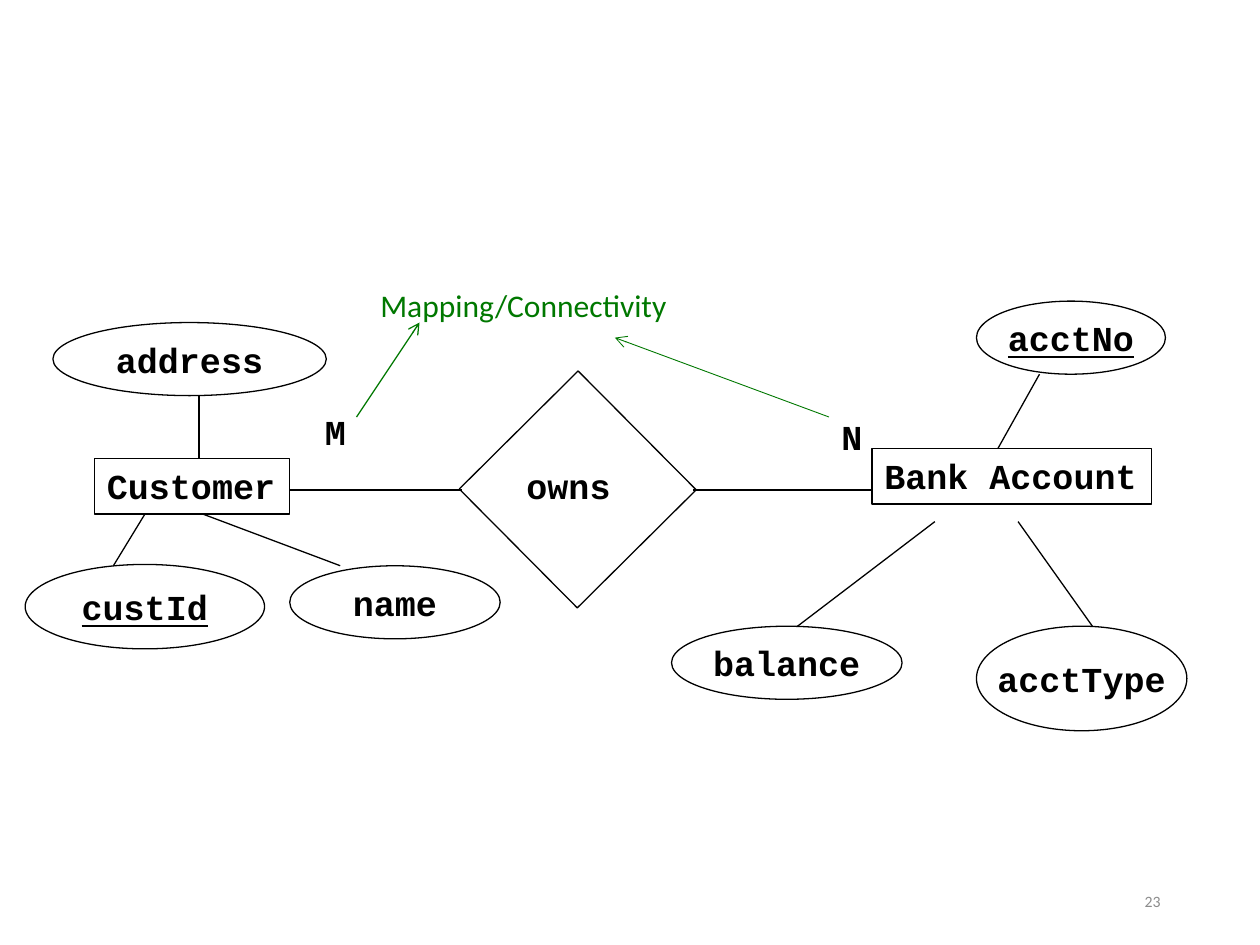
"""Build an entity-relationship slide: customers own bank accounts, many to many."""
from lxml import etree
from pptx import Presentation
from pptx import util as u
from pptx.dml.color import RGBColor
from pptx.enum import shapes, text
from pptx.oxml.ns import qn

PX = 9144
COLORS = {"ink": "000000", "note": "007800", "number": "8C8C8C"}
LABEL = {"name": "Courier New", "size": u.Pt(20), "bold": True}
NOTE = {"name": "Calibri", "size": u.Pt(18)}
NUMBER = {"name": "Calibri", "size": u.Pt(9)}
GROW = {"word_wrap": False, "auto_size": text.MSO_AUTO_SIZE.SHAPE_TO_FIT_TEXT,
        "vertical_anchor": text.MSO_ANCHOR.TOP}
CENTERED = {"word_wrap": False, "vertical_anchor": text.MSO_ANCHOR.MIDDLE}
FOOTER = {"word_wrap": True, "vertical_anchor": text.MSO_ANCHOR.MIDDLE}
LEFT, CENTER, RIGHT = text.PP_ALIGN.LEFT, text.PP_ALIGN.CENTER, text.PP_ALIGN.RIGHT


def write(holder, words, frame_format, align, font_format, color="ink"):
    frame = holder.text_frame
    for key, value in frame_format.items():
        setattr(frame, key, value)
    paragraph = frame.paragraphs[0]
    paragraph.alignment = align
    run = paragraph.add_run()
    run.text = words
    for key, value in font_format.items():
        setattr(run.font, key, value)
    run.font.color.rgb = RGBColor.from_string(COLORS[color])


def outline(part, color="ink", width=0.75, arrow=False):
    part.line.color.rgb = RGBColor.from_string(COLORS[color])
    part.line.width = u.Pt(width)
    if arrow:
        etree.SubElement(part.line._get_or_add_ln(), qn("a:tailEnd"), type="arrow")
    if hasattr(part, "fill"):
        part.fill.background()
        part.shadow.inherit = False
    else:
        etree.SubElement(part._element.spPr, qn("a:effectLst"))


deck = Presentation()
deck.slide_width, deck.slide_height = 1000 * PX, 750 * PX
slide = deck.slides.add_slide(deck.slide_layouts[6])
canvas = slide.shapes

entities = [("Customer", 75, 364, 155, 44), ("Bank Account", 692, 356, 222, 44)]
for words, *box in entities:
    entity = canvas.add_shape(shapes.MSO_SHAPE.RECTANGLE, *(n * PX for n in box))
    outline(entity)
    write(entity, words, GROW, LEFT, LABEL)

relationship = canvas.add_shape(shapes.MSO_SHAPE.RECTANGLE, *(n * PX for n in (392, 322, 133, 133)))
relationship.rotation = 45.2
outline(relationship)

attributes = [
    ("acctNo", True, 775, 239, 150, 58),
    ("acctType", False, 775, 497, 167, 83),
    ("balance", False, 533, 497, 183, 58),
    ("custId", True, 20, 448, 190, 67),
    ("name", False, 230, 449, 167, 58),
    ("address", False, 42, 256, 217, 58),
]
for words, is_key, *box in attributes:
    attribute = canvas.add_shape(shapes.MSO_SHAPE.OVAL, *(n * PX for n in box))
    outline(attribute)
    write(attribute, words, CENTERED, CENTER, LABEL | ({"underline": True} if is_key else {}))

links = [
    (230, 389, 367, 389),
    (550, 389, 692, 389),
    (115, 408, 90, 449),
    (161, 408, 270, 449),
    (792, 356, 825, 297),
    (742, 414, 633, 497),
    (808, 414, 867, 497),
    (158, 364, 158, 314),
]
for ends in links:
    link = canvas.add_connector(shapes.MSO_CONNECTOR.STRAIGHT, *(n * PX for n in ends))
    outline(link)

pen = canvas.build_freeform(283, 331, scale=PX)
pen.add_line_segments([(333, 256)], close=False)
outline(pen.convert_to_shape(), "note", arrow=True)
n_pointer = canvas.add_connector(shapes.MSO_CONNECTOR.STRAIGHT, *(n * PX for n in (658, 331, 488, 268)))
outline(n_pointer, "note", 0.5, arrow=True)

captions = [
    ("M", (248, 321, 37, 44), GROW, LEFT, LABEL, "ink"),
    ("N", (658, 325, 37, 44), GROW, LEFT, LABEL, "ink"),
    ("owns", (408, 364, 88, 44), GROW, LEFT, LABEL, "ink"),
    ("Mapping/Connectivity", (292, 222, 261, 40), GROW, LEFT, NOTE, "note"),
    ("23", (706, 695, 225, 40), FOOTER, RIGHT, NUMBER, "number"),
]
for words, box, *style in captions:
    caption = canvas.add_textbox(*(n * PX for n in box))
    write(caption, words, *style)

deck.save("out.pptx")
